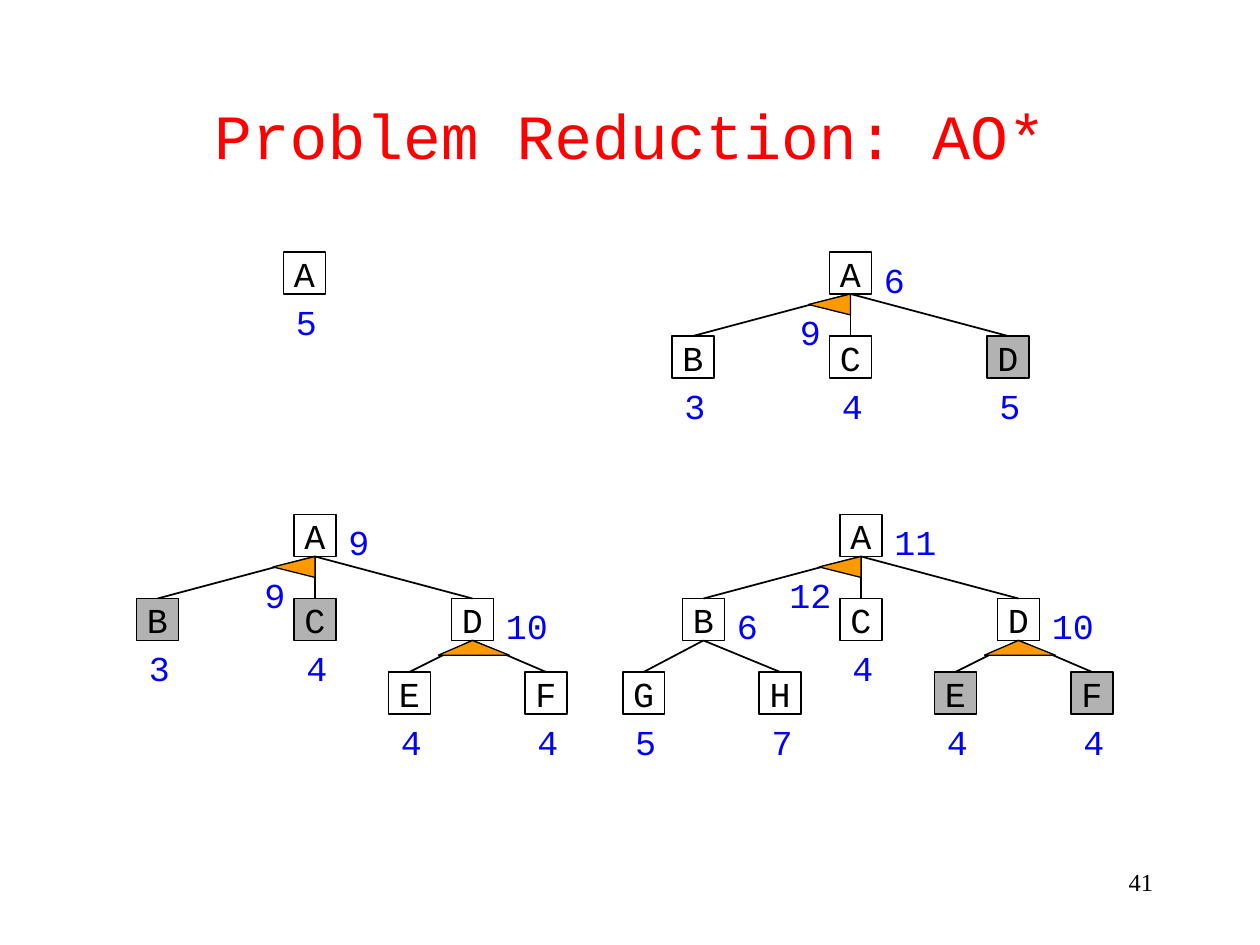
from dataclasses import dataclass
from typing import Optional

from lxml.etree import SubElement
from pptx import Presentation
from pptx.dml.color import RGBColor
from pptx.enum.shapes import MSO_CONNECTOR, MSO_SHAPE
from pptx.enum.text import MSO_ANCHOR, PP_ALIGN
from pptx.oxml.ns import qn
from pptx.util import Inches, Pt

BLACK = RGBColor(0x00, 0x00, 0x00)
RED = RGBColor(0xFF, 0x00, 0x00)
BLUE = RGBColor(0x00, 0x00, 0xFF)
GRAY = RGBColor(0xB2, 0xB2, 0xB2)
ORANGE = RGBColor(0xFF, 0x99, 0x00)
MONO = "Courier New"
SERIF = "Times New Roman"

# Grid of 120 columns and 90 rows, twelve to the inch
COLUMNS, ROWS = 120, 90
CELL = Inches(10) / COLUMNS
NODE = 4
CHILD_DROP = 8
GRANDCHILD_DROP = 7

# AND arcs, as points relative to the bottom centre of the parent
SIDE_ARC = ((0, 0), (-4, 1), (0, 2))
WIDE_ARC = ((-3.25, 1.4), (3.5, 1.4), (0, 0))


@dataclass
class Node:
    name: str
    value: str
    shift: float = 0  # columns from the parent
    gray: bool = False
    children: tuple = ()
    arc: Optional[tuple] = None
    arc_value: str = ""


def grid(*lengths):
    return [round(length * CELL) for length in lengths]


def style_text(shape, text, font, size, color, align=PP_ALIGN.LEFT,
               anchor=MSO_ANCHOR.TOP, wrap=True, space_before=0):
    frame = shape.text_frame
    frame.text = text
    frame.word_wrap = wrap
    frame.vertical_anchor = anchor
    paragraph = frame.paragraphs[0]
    paragraph.alignment = align
    paragraph.space_before = Pt(space_before)
    run_font = paragraph.runs[0].font
    run_font.name, run_font.size = font, Pt(size)
    run_font.color.rgb = color


def draw_text(slide, box, *style, **options):
    style_text(slide.shapes.add_textbox(*grid(*box)), *style, **options)


def value_width(value):
    return 3 + 2 * len(value)


def draw_value(slide, left, top, value):
    draw_text(slide, (left, top, value_width(value), 5.25), value,
              MONO, 20, BLUE, space_before=12.5)


def draw_box(slide, left, top, node):
    shape = slide.shapes.add_shape(MSO_SHAPE.RECTANGLE,
                                   *grid(left, top, NODE, NODE))
    shape.shadow.inherit = False
    if node.gray:
        shape.fill.solid()
        shape.fill.fore_color.rgb = GRAY
    else:
        shape.fill.background()
    shape.line.color.rgb = BLACK
    shape.line.width = Pt(1)
    style_text(shape, node.name, MONO, 20, BLACK, PP_ALIGN.CENTER,
               MSO_ANCHOR.MIDDLE, wrap=False)


def draw_edge(slide, start, end):
    edge = slide.shapes.add_connector(MSO_CONNECTOR.STRAIGHT,
                                      *grid(*start, *end))
    edge.line.color.rgb = BLACK
    edge.line.width = Pt(1)
    SubElement(edge._element.spPr, qn("a:effectLst"))


def draw_arc(slide, origin, offsets):
    points = [grid(origin[0] + x, origin[1] + y) for x, y in offsets]
    builder = slide.shapes.build_freeform(*points[0])
    builder.add_line_segments(points[1:], close=True)
    arc = builder.convert_to_shape()
    arc.shadow.inherit = False
    arc.fill.solid()
    arc.fill.fore_color.rgb = ORANGE
    arc.line.color.rgb = BLACK
    arc.line.width = Pt(0.75)


def draw_tree(slide, left, top, node, drop=CHILD_DROP):
    """Place a node with its top left corner at the given cell, then its subtree."""
    draw_box(slide, left, top, node)
    # Leaves carry their value below, parents at the right
    if node.children:
        draw_value(slide, left + NODE, top, node.value)
    else:
        draw_value(slide, left, top + NODE, node.value)

    origin = (left + NODE / 2, top + NODE)
    for child in node.children:
        draw_edge(slide, origin, (origin[0] + child.shift, top + drop))
        draw_tree(slide, left + child.shift, top + drop, child, GRANDCHILD_DROP)

    if node.arc:
        draw_arc(slide, origin, node.arc)
    if node.arc_value:
        draw_value(slide, left + 1 - value_width(node.arc_value), top + 5,
                   node.arc_value)


def root(value, arc_value, *children):
    return Node("A", value, children=children, arc=SIDE_ARC, arc_value=arc_value)


def expanded_d(gray=False):
    return Node("D", "10", 15, arc=WIDE_ARC,
                children=(Node("E", "4", -6, gray), Node("F", "4", 7, gray)))


# The four steps of the search: left column, top row, tree
STEPS = (
    (27, 24, Node("A", "5")),
    (79, 24, root("6", "9", Node("B", "3", -15), Node("C", "4"),
                  Node("D", "5", 15, gray=True))),
    (28, 49, root("9", "9", Node("B", "3", -15, gray=True),
                  Node("C", "4", gray=True), expanded_d())),
    (80, 49, root("11", "12",
                  Node("B", "6", -15, children=(Node("G", "5", -5.7),
                                                Node("H", "7", 7.3))),
                  Node("C", "4"), expanded_d(gray=True))),
)


def main():
    presentation = Presentation()
    presentation.slide_width, presentation.slide_height = grid(COLUMNS, ROWS)
    slide = presentation.slides.add_slide(presentation.slide_layouts[6])

    # Title and page number
    draw_text(slide, (9, 5.25, 102, 15), "Problem Reduction: AO*", MONO, 36, RED,
              PP_ALIGN.CENTER, MSO_ANCHOR.MIDDLE)
    draw_text(slide, (86, 82, 25, 6), "41", SERIF, 14, BLACK, PP_ALIGN.RIGHT)

    # Search trees
    for left, top, tree in STEPS:
        draw_tree(slide, left, top, tree)

    presentation.save("out.pptx")


if __name__ == "__main__":
    main()
